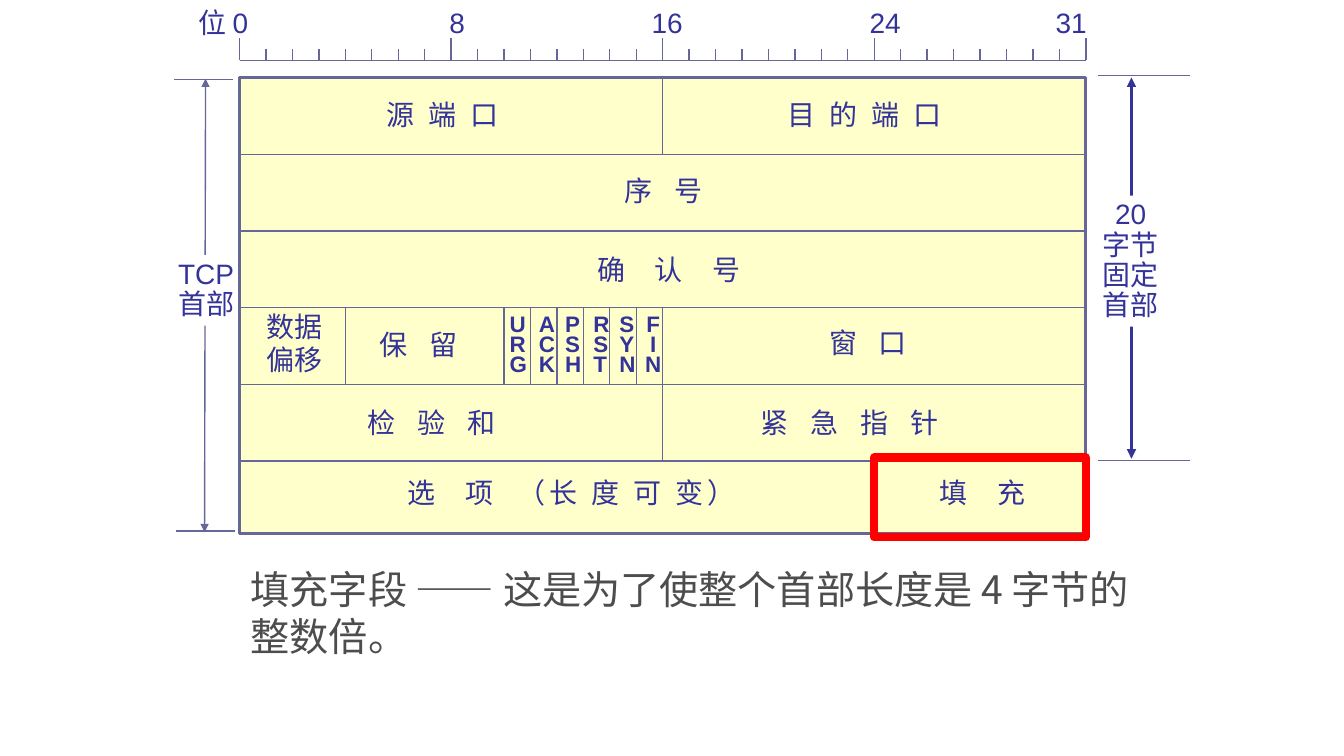
from lxml.etree import SubElement
from pptx import Presentation
from pptx.dml.color import RGBColor
from pptx.enum.shapes import MSO_CONNECTOR, MSO_SHAPE
from pptx.enum.text import PP_ALIGN
from pptx.oxml.ns import qn
from pptx.util import Pt

# Content: text, left, top, width, letter spacing
SPACE = 2.78  # half a space at 20 pt
FIELDS = [
    ("源 端 口", 269.3, 66.2, 115, SPACE),
    ("目 的 端 口", 555.8, 66.2, 155, SPACE),
    ("序 号", 439.2, 120.2, 109, 2 * SPACE),
    ("确 认 号", 419.8, 177.1, 145, 3 * SPACE),
    ("数据\n偏移", 183.6, 217.4, 58, 0),
    ("保 留", 264.2, 230.4, 84, 2 * SPACE),
    ("窗 口", 585.4, 229, 84, 2 * SPACE),
    ("检 验 和", 255.6, 285.8, 135, 2 * SPACE),
    ("紧 急 指 针", 536.4, 285.8, 184, 2 * SPACE),
    ("选 项", 284.4, 336.2, 90, 3 * SPACE),
    ("（长 度 可 变）", 363, 336.2, 174, SPACE),
    ("填 充", 664.6, 336.2, 99, 3 * SPACE),
]
FLAGS = [("URG", 357.1), ("ACK", 378), ("PSH", 396.7),
         ("RST", 416.9), ("SYN", 435.6), ("FIN", 453.6)]
SCALE = "位 0\t8\t16\t24\t31"
SCALE_TABS = [179.5, 324, 479.8, 612.8]
CAPTION = "填充字段 —— 这是为了使整个首部长度是 4 字节的整数倍。"
SIDES = [  # text, box, alignment, arrow ends, arrow colour and width, end bars
    ("TCP\n首部", (120.2, 182.2, 56, 50.4), PP_ALIGN.LEFT,
     (146.9, 56.2, 146.2, 380.2), "666699", 1,
     [(124.6, 56.9, 166.3), (126, 379.4, 167.8)]),
    ("20\n字节\n固定\n首部", (780, 139.7, 56, 93.6), PP_ALIGN.CENTER,
     (808.6, 55.4, 808.6, 327.6), "333399", 2.25,
     [(784.8, 54, 850.3), (784.8, 329, 850.3)]),
]

# Header geometry
LEFT, TOP, BIT, ROW, ROWS = 171.2, 55.4, 18.9, 54.8, 6
BOTTOM = 380.9
RIGHT = LEFT + 32 * BIT
RULER = 43.2
DIVIDERS = [(16, 0, 1), (16, 3, 5)] + [(b, 3, 4) for b in (4, 10, 11, 12, 13, 14, 15)]

prs = Presentation()
prs.slide_width, prs.slide_height = Pt(960.5), Pt(540)
s = prs.slides.add_slide(prs.slide_layouts[6])


def rgb(value):
    return RGBColor.from_string(value)


def bit_x(bit):
    return LEFT + bit * BIT


def row_y(row):
    return TOP + row * ROW


def line(x1, y1, x2, y2, color="666699", width=1, arrows=False):
    cn = s.shapes.add_connector(MSO_CONNECTOR.STRAIGHT, Pt(x1), Pt(y1), Pt(x2), Pt(y2))
    cn.line.color.rgb = rgb(color)
    cn.line.width = Pt(width)
    if arrows:
        for end in ("a:headEnd", "a:tailEnd"):
            SubElement(cn.line._get_or_add_ln(), qn(end), type="triangle")
    SubElement(cn._element.spPr, qn("a:effectLst"))


def rect(x, y, w, h, color, width, fill=None):
    sp = s.shapes.add_shape(MSO_SHAPE.RECTANGLE, Pt(x), Pt(y), Pt(w), Pt(h))
    sp.shadow.inherit = False
    if fill:
        sp.fill.solid()
        sp.fill.fore_color.rgb = rgb(fill)
    else:
        sp.fill.background()
    sp.line.color.rgb = rgb(color)
    sp.line.width = Pt(width)


def text(content, x, y, w, h, pitch=24, size=20, color="333399", font="Arial",
         bold=False, align=PP_ALIGN.LEFT, spacing=0, tabs=(), fill=None):
    sp = s.shapes.add_textbox(Pt(x), Pt(y), Pt(w), Pt(h))
    if fill:
        sp.fill.solid()
        sp.fill.fore_color.rgb = rgb(fill)
    tf = sp.text_frame
    tf.word_wrap = True
    for i, part in enumerate(content.split("\n")):
        p = tf.paragraphs[0] if i == 0 else tf.add_paragraph()
        p.alignment, p.line_spacing = align, Pt(pitch)
        if tabs:
            tab_list = SubElement(p._p.get_or_add_pPr(), qn("a:tabLst"))
            for pos in tabs:
                SubElement(tab_list, qn("a:tab"), pos=str(int(Pt(pos))), algn="l")
        r = p.add_run()
        r.text = part
        for name, value in {"name": font, "size": Pt(size), "bold": bold}.items():
            setattr(r.font, name, value)
        r.font.color.rgb = rgb(color)
        rpr = r._r.get_or_add_rPr()
        SubElement(rpr, qn("a:ea"), typeface="Noto Sans CJK SC")
        if spacing:
            rpr.set("spc", str(round(spacing * 100)))


# Side measures
for label, box, align, ends, color, width, bars in SIDES:
    line(*ends, color, width, arrows=True)
    text(label, *box, pitch=21.5, align=align, fill="FFFFFF")
    for x1, y, x2 in bars:
        line(x1, y, x2, y)

# Header block with its rows and fields
rect(LEFT, TOP, RIGHT - LEFT, BOTTOM - TOP, "666699", 2, "FFFFCC")
for row in range(1, ROWS):
    line(LEFT, row_y(row), RIGHT, row_y(row))
for bit, first, last in DIVIDERS:
    line(bit_x(bit), row_y(first), bit_x(bit), row_y(last))
for label, x, y, w, spacing in FIELDS:
    text(label, x, y, w, 31 + 24 * label.count("\n"), spacing=spacing)
for flag, x in FLAGS:
    align = PP_ALIGN.CENTER if flag == "FIN" else PP_ALIGN.LEFT
    text("\n".join(flag), x, 222.5, 26.5, 50.4, pitch=14.4, size=16, bold=True, align=align)

# Bit ruler
line(LEFT, RULER, RIGHT, RULER)
for bit in range(33):
    line(bit_x(bit), 27.4 if bit % 8 == 0 else 35.3, bit_x(bit), RULER)
text(SCALE, 134.6, 0.7, 656, 31, tabs=SCALE_TABS)

# Highlighted padding field and its explanation
rect(bit_x(24), 326.9, RIGHT - bit_x(24), 56.9, "FF0000", 6)
text(CAPTION, 172.1, 399.6, 653.8, 74.9, pitch=34, size=28, color="4D4D4D",
     font="Noto Sans CJK SC")

prs.save("out.pptx")
